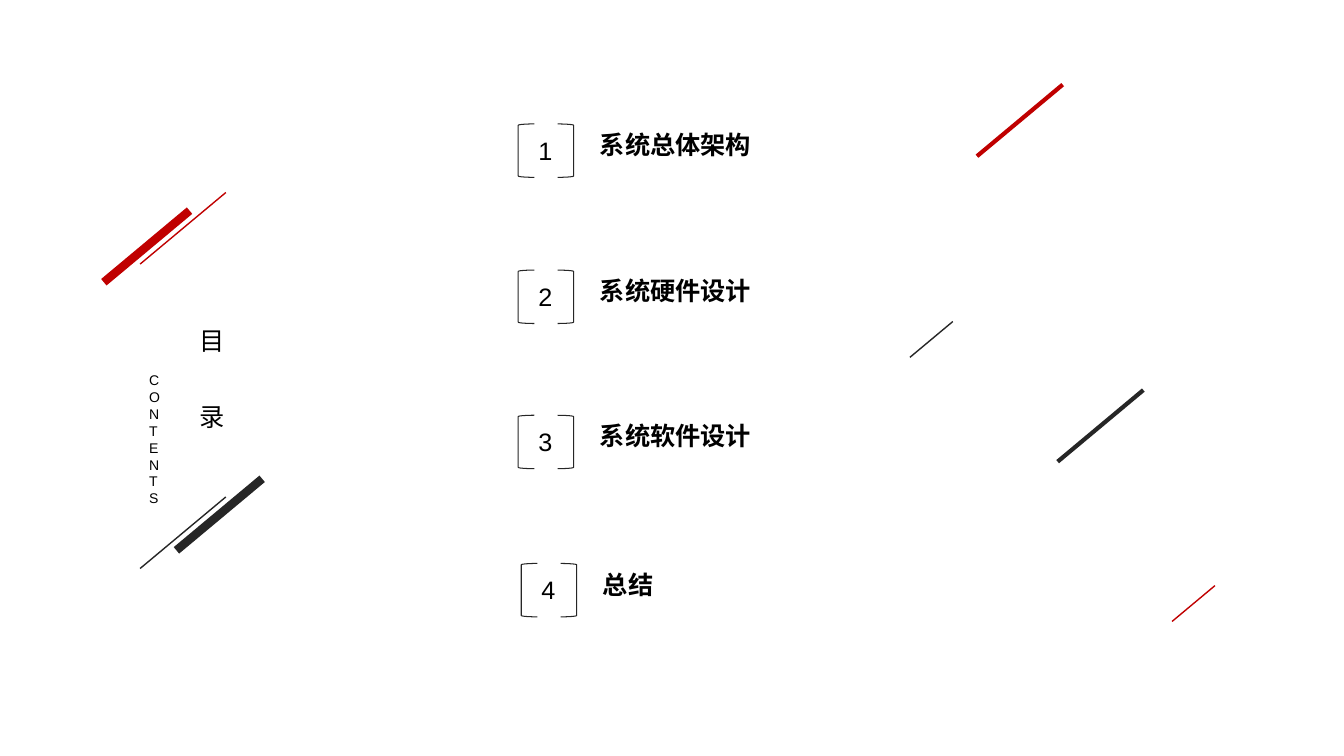
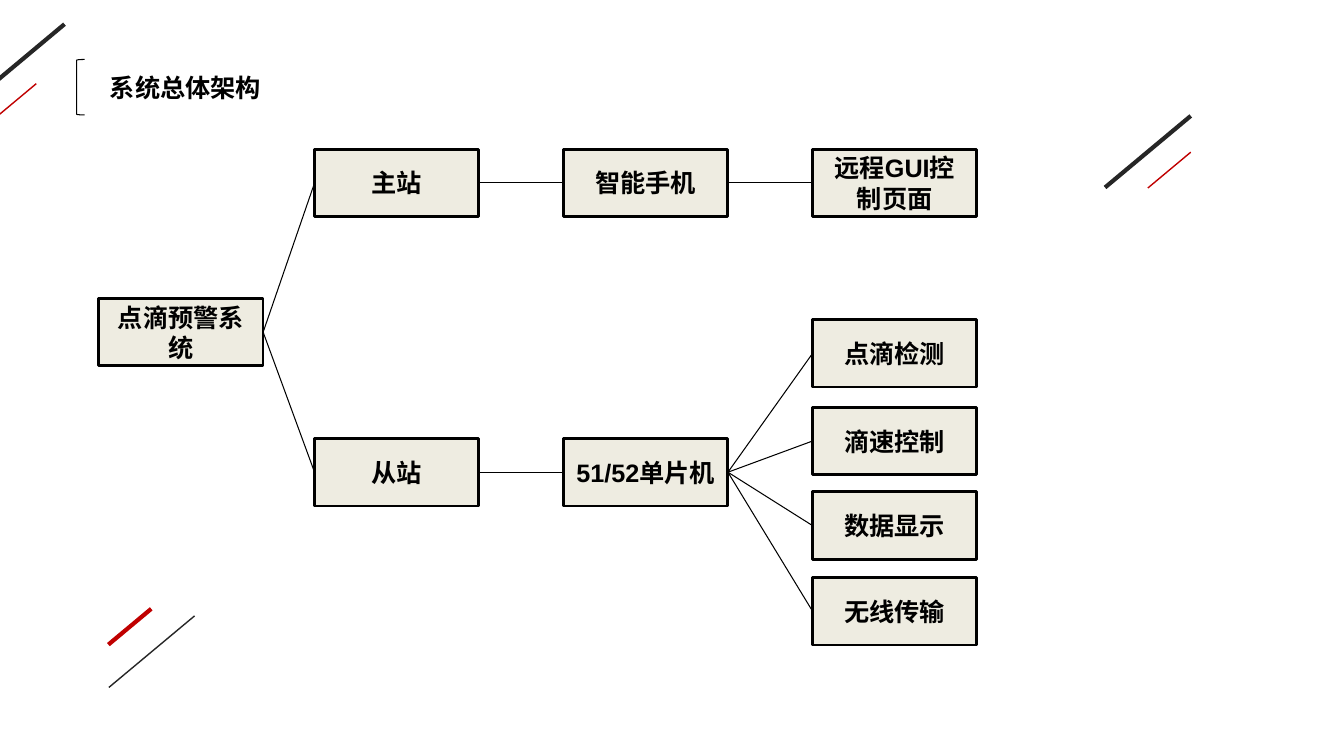
from lxml import etree
from pptx import Presentation
from pptx.dml.color import RGBColor
from pptx.enum.shapes import MSO_CONNECTOR, MSO_SHAPE
from pptx.enum.text import MSO_ANCHOR, MSO_AUTO_SIZE, PP_ALIGN
from pptx.oxml.ns import qn
from pptx.util import Inches, Pt

RED = RGBColor(0xC0, 0x00, 0x00)
DARK = RGBColor(0x26, 0x26, 0x26)
BLACK = RGBColor(0x00, 0x00, 0x00)
CREAM = RGBColor(0xEE, 0xEC, 0xE1)

STRAIGHT = MSO_CONNECTOR.STRAIGHT
RECTANGLE = MSO_SHAPE.RECTANGLE
LEFT_BRACKET = MSO_SHAPE.LEFT_BRACKET
RIGHT_BRACKET = MSO_SHAPE.RIGHT_BRACKET
LEFT, CENTER = PP_ALIGN.LEFT, PP_ALIGN.CENTER
TOP, MIDDLE = MSO_ANCHOR.TOP, MSO_ANCHOR.MIDDLE
FIXED_SIZE = MSO_AUTO_SIZE.NONE

FONT = "Arial"
TEXT_SIZE = 18
RIGHT_SIDE, LEFT_SIDE = 3, 1
TITLE_AND_BODY, TITLE_ONLY = 1, 5
SLASH_WIDTH, SLASH_HEIGHT = 0.85, 0.71
LIST_LINE = 24

CHAPTERS = [
    ("系统总体架构", 5.14, 1.23),
    ("系统硬件设计", 5.14, 2.68),
    ("系统软件设计", 5.14, 4.12),
    ("总结", 5.17, 5.59),
]

CONTENTS_SLASHES = [
    (1.88, 2.09, 1, RED, 6),
    (2.24, 1.91, 1, RED, 1),
    (2.6, 4.75, 1, DARK, 6),
    (2.24, 4.93, 1, DARK, 1),
    (10.54, 0.84, 1, RED, 3),
    (9.45, 3.19, 0.5, DARK, 1),
    (12.05, 5.81, 0.5, RED, 1),
    (11.34, 3.87, 1, DARK, 3),
]

STRUCTURE_SLASHES = [
    (0.64, 0.24, 1, DARK, 3),
    (0.36, 0.83, 0.5, RED, 1),
    (11.81, 1.15, 1, DARK, 3),
    (11.81, 1.51, 0.5, RED, 1),
    (1.5, 6.04, 0.5, RED, 3),
    (1.93, 6.11, 1, DARK, 1),
]

NODE_WIDTH, NODE_HEIGHT = 1.63, 0.67
NODE_COLUMNS = [0.98, 3.12, 5.59, 8.06]
NODES = {
    "点滴预警系统": (0, 2.96),
    "主站": (1, 1.48),
    "智能手机": (2, 1.48),
    "远程GUI控制页面": (3, 1.48),
    "从站": (1, 4.35),
    "51/52单片机": (2, 4.35),
    "点滴检测": (3, 3.17),
    "滴速控制": (3, 4.04),
    "数据显示": (3, 4.88),
    "无线传输": (3, 5.73),
}
BRANCHES = {
    "点滴预警系统": ["主站", "从站"],
    "主站": ["智能手机"],
    "智能手机": ["远程GUI控制页面"],
    "从站": ["51/52单片机"],
    "51/52单片机": ["点滴检测", "滴速控制", "数据显示", "无线传输"],
}


def place(shape, left, top, width, height):
    """Move a shape to a box given in inches."""
    shape.left, shape.top = Inches(left), Inches(top)
    shape.width, shape.height = Inches(width), Inches(height)


def write(shape, text, size=TEXT_SIZE, bold=False, align=LEFT, anchor=TOP):
    """Fill a shape with text in the deck's type style."""
    frame = shape.text_frame
    frame.text = text
    frame.word_wrap = True
    frame.auto_size = FIXED_SIZE
    frame.vertical_anchor = anchor
    for para in frame.paragraphs:
        para.alignment = align
        for span in para.runs:
            span.font.name = FONT
            span.font.size = Pt(size)
            span.font.bold = bold
            span.font.color.rgb = BLACK


def add_text(page, box, text, **style):
    """Add a text box with styled text."""
    shape = page.shapes.add_textbox(*(Inches(length) for length in box))
    write(shape, text, **style)


def add_line(page, start, end, color, width):
    """Add a straight connector without a shadow."""
    points = [Inches(length) for length in (*start, *end)]
    line = page.shapes.add_connector(STRAIGHT, *points)
    line.line.color.rgb = color
    line.line.width = Pt(width)
    etree.SubElement(line._element.spPr, qn("a:effectLst"))
    return line


def add_slashes(page, slashes):
    """Draw the slanted accents, each from its upper right end."""
    for right, top, scale, color, width in slashes:
        end = (right - SLASH_WIDTH * scale, top + SLASH_HEIGHT * scale)
        add_line(page, (right, top), end, color, width)


def add_shape(page, kind, box, color, width):
    """Add an unfilled, outlined preset shape."""
    shape = page.shapes.add_shape(kind, *(Inches(length) for length in box))
    shape.shadow.inherit = False
    shape.fill.background()
    shape.line.color.rgb = color
    shape.line.width = Pt(width)
    return shape


def add_number(page, number, left, top):
    """Draw a chapter number between two brackets."""
    add_text(page, (left + 0.1, top + 0.06, 0.34, 0.4), str(number), align=CENTER)
    add_shape(page, LEFT_BRACKET, (left, top, 0.16, 0.53), DARK, 0.75)
    add_shape(page, RIGHT_BRACKET, (left + 0.39, top, 0.16, 0.53), DARK, 0.75)


def fill_chapter_list(body):
    """Set the chapter names in the body, in step with their numbers."""
    names, lefts, tops = zip(*CHAPTERS)
    place(body, lefts[0] + 0.71, tops[0] - 0.03, 2.2, 5)
    write(body, "\n".join(names), bold=True)
    gaps = [after - before for before, after in zip(tops, tops[1:])]
    for index, para in enumerate(body.text_frame.paragraphs):
        para.line_spacing = Pt(LIST_LINE)
        para.space_before = Pt(0)
        gap = gaps[index] * 72 - LIST_LINE if index < len(gaps) else 0
        para.space_after = Pt(gap)
        properties = para._p.get_or_add_pPr()
        properties.set("marL", str(Inches(lefts[index] - lefts[0])))
        properties.set("indent", "0")
        etree.SubElement(properties, qn("a:buNone"))


def build_contents(deck):
    """Build the contents page."""
    page = deck.slides.add_slide(deck.slide_layouts[TITLE_AND_BODY])
    add_slashes(page, CONTENTS_SLASHES)
    title = page.shapes.title
    place(title, 1.88, 2.73, 0.45, 1.49)
    write(title, "目\n录")
    for para in title.text_frame.paragraphs:
        para.line_spacing = 2.5
    add_text(page, (1.38, 3.64, 0.25, 1.45), "CONTENTS", size=10)
    for number, (_, left, top) in enumerate(CHAPTERS, 1):
        add_number(page, number, left, top)
    fill_chapter_list(page.placeholders[1])


def add_node(page, name):
    """Add one box of the structure tree."""
    column, top = NODES[name]
    box = (NODE_COLUMNS[column], top, NODE_WIDTH, NODE_HEIGHT)
    node = add_shape(page, RECTANGLE, box, BLACK, 2)
    node.fill.solid()
    node.fill.fore_color.rgb = CREAM
    write(node, name, bold=True, align=CENTER, anchor=MIDDLE)
    return node


def add_tree(page):
    """Draw the boxes and join each one to its branches."""
    nodes = {name: add_node(page, name) for name in NODES}
    for parent, children in BRANCHES.items():
        for child in children:
            line = add_line(page, (0, 0), (0, 0), BLACK, 0.75)
            line.begin_connect(nodes[parent], RIGHT_SIDE)
            line.end_connect(nodes[child], LEFT_SIDE)


def build_structure(deck):
    """Build the system structure page."""
    page = deck.slides.add_slide(deck.slide_layouts[TITLE_ONLY])
    add_slashes(page, STRUCTURE_SLASHES)
    title = page.shapes.title
    place(title, 0.99, 0.67, 1.84, 0.4)
    write(title, CHAPTERS[0][0], bold=True)
    add_shape(page, LEFT_BRACKET, (0.76, 0.59, 0.08, 0.55), BLACK, 0.75)
    add_tree(page)


def main():
    """Build and save the deck."""
    deck = Presentation()
    deck.slide_width, deck.slide_height = Inches(13.33), Inches(7.5)
    build_contents(deck)
    build_structure(deck)
    deck.save("out.pptx")


if __name__ == "__main__":
    main()
